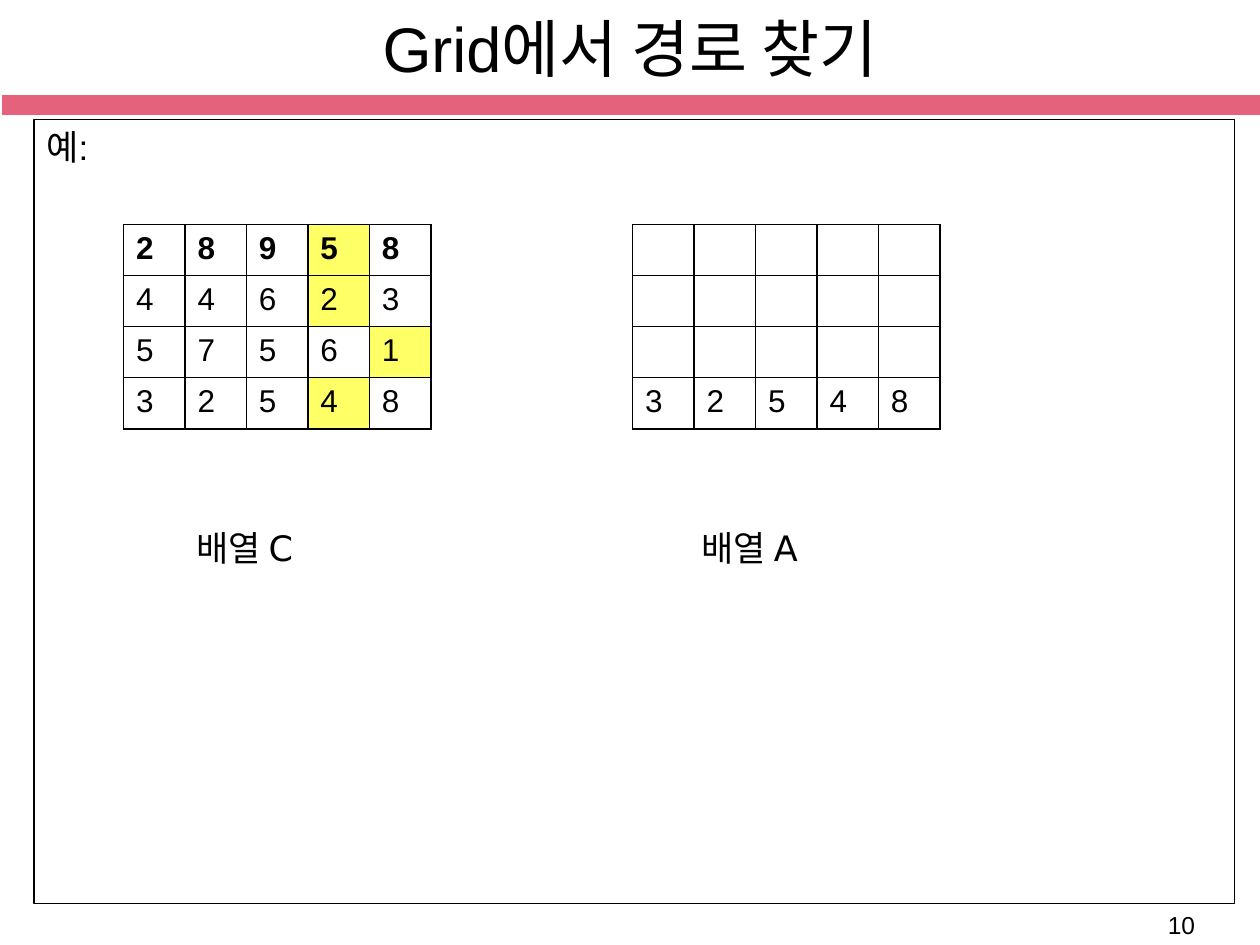
import pptx
import pptx.dml.color
import pptx.enum.shapes
import pptx.enum.text
import pptx.oxml
import pptx.oxml.ns
import pptx.util

# Content
TITLE = "Grid에서 경로 찾기"
EXAMPLE = "예:"
PAGE_NUMBER = "10"
COSTS = [[2, 8, 9, 5, 8], [4, 4, 6, 2, 3], [5, 7, 5, 6, 1], [3, 2, 5, 4, 8]]
CHEAPEST_ROUTE = {(0, 3), (1, 3), (2, 4), (3, 3)}
SUMS = [[""] * 5] * 3 + [COSTS[-1]]
# caption, values, table left, caption left, has white cells, highlighted, bold rows
ARRAYS = [
    ("배열 C", COSTS, 9.8, 14.6, True, CHEAPEST_ROUTE, {0}),
    ("배열 A", SUMS, 50.2, 54.7, False, set(), set()),
]

THEME = {
    "ink": "000000", "paper": "FFFFFF", "band": "E4627B", "route": "FFFF66",
    "font": "Arial", "caption_font": "DejaVu Sans",
    "title": 36, "body": 20, "cell": 18, "page": 14, "frame": 0.75, "rule": 1,
}

# Grid of 100 columns by 75 rows on the slide; places are left, top, width, height
COLUMNS, ROWS = 100, 75
BAND = (0.1, 7.5, 100, 1.7)
HEADING = (17.1, 0, 65.8, 7.5)
FRAME = (2.7, 9.5, 95.3, 62.2)
PAGE = (91.7, 71.7, 5.7, 3.3)
TABLE_TOP, CELL_WIDTH, CELL_HEIGHT = 17.8, 4.88, 4.06
CAPTION_TOP, CAPTION_WIDTH, CAPTION_HEIGHT = 41.3, 15.7, 4.4

deck = pptx.Presentation()
deck.slide_width, deck.slide_height = pptx.util.Inches(10), pptx.util.Inches(7.5)
slide = deck.slides.add_slide(deck.slide_layouts[6])


def place(left, top, width, height):
    across, down = deck.slide_width / COLUMNS, deck.slide_height / ROWS
    return [round(n) for n in (left * across, top * down, width * across, height * down)]


def color(name):
    return pptx.dml.color.RGBColor.from_string(THEME[name])


def write(frame, text, size="body", font="font", bold=False, align="LEFT", anchor="TOP"):
    frame.word_wrap = True
    frame.vertical_anchor = getattr(pptx.enum.text.MSO_ANCHOR, anchor)
    paragraph = frame.paragraphs[0]
    paragraph.alignment = getattr(pptx.enum.text.PP_ALIGN, align)
    paragraph.font.size = pptx.util.Pt(THEME[size])
    if text != "":
        run = paragraph.add_run()
        run.text = str(text)
        run.font.size = pptx.util.Pt(THEME[size])
        run.font.name = THEME[font]
        run.font.bold = bold
        run.font.color.rgb = color("ink")


def add_text(where, text, **style):
    write(slide.shapes.add_textbox(*place(*where)).text_frame, text, **style)


def add_box(where, fill, line, width):
    box = slide.shapes.add_shape(pptx.enum.shapes.MSO_SHAPE.RECTANGLE, *place(*where))
    box.shadow.inherit = False
    if fill:
        box.fill.solid()
        box.fill.fore_color.rgb = color(fill)
    else:
        box.fill.background()
    box.line.color.rgb = color(line)
    box.line.width = pptx.util.Pt(THEME[width])
    return box


def fill_cell(cell, fill):
    # Borders come before the fill in the cell's properties
    properties = cell._tc.get_or_add_tcPr()
    for side in ("lnL", "lnR", "lnT", "lnB"):
        properties.append(pptx.oxml.parse_xml(
            f'<a:{side} {pptx.oxml.ns.nsdecls("a")} w="{pptx.util.Pt(THEME["rule"])}">'
            f'<a:solidFill><a:srgbClr val="{THEME["ink"]}"/></a:solidFill></a:{side}>'))
    if fill:
        cell.fill.solid()
        cell.fill.fore_color.rgb = color(fill)
    else:
        cell.fill.background()


def add_array(values, left, filled, highlighted, bold_rows):
    rows, columns = len(values), len(values[0])
    where = place(left, TABLE_TOP, columns * CELL_WIDTH, rows * CELL_HEIGHT)
    table = slide.shapes.add_table(rows, columns, *where).table
    table.first_row = table.horz_banding = False
    for r, row in enumerate(values):
        for c, value in enumerate(row):
            cell = table.cell(r, c)
            write(cell.text_frame, value, size="cell", bold=r in bold_rows)
            plain = "paper" if filled else None
            fill_cell(cell, "route" if (r, c) in highlighted else plain)


# Band, page number and title
add_box(BAND, "band", "paper", "rule")
add_text(PAGE, PAGE_NUMBER, size="page")
add_text(HEADING, TITLE, size="title", align="CENTER", anchor="MIDDLE")

# Framed body
write(add_box(FRAME, None, "ink", "frame").text_frame, EXAMPLE)

# Arrays with their captions
for caption, values, left, caption_left, filled, highlighted, bold_rows in ARRAYS:
    add_array(values, left, filled, highlighted, bold_rows)
    add_text((caption_left, CAPTION_TOP, CAPTION_WIDTH, CAPTION_HEIGHT), caption,
             font="caption_font")

deck.save("out.pptx")
